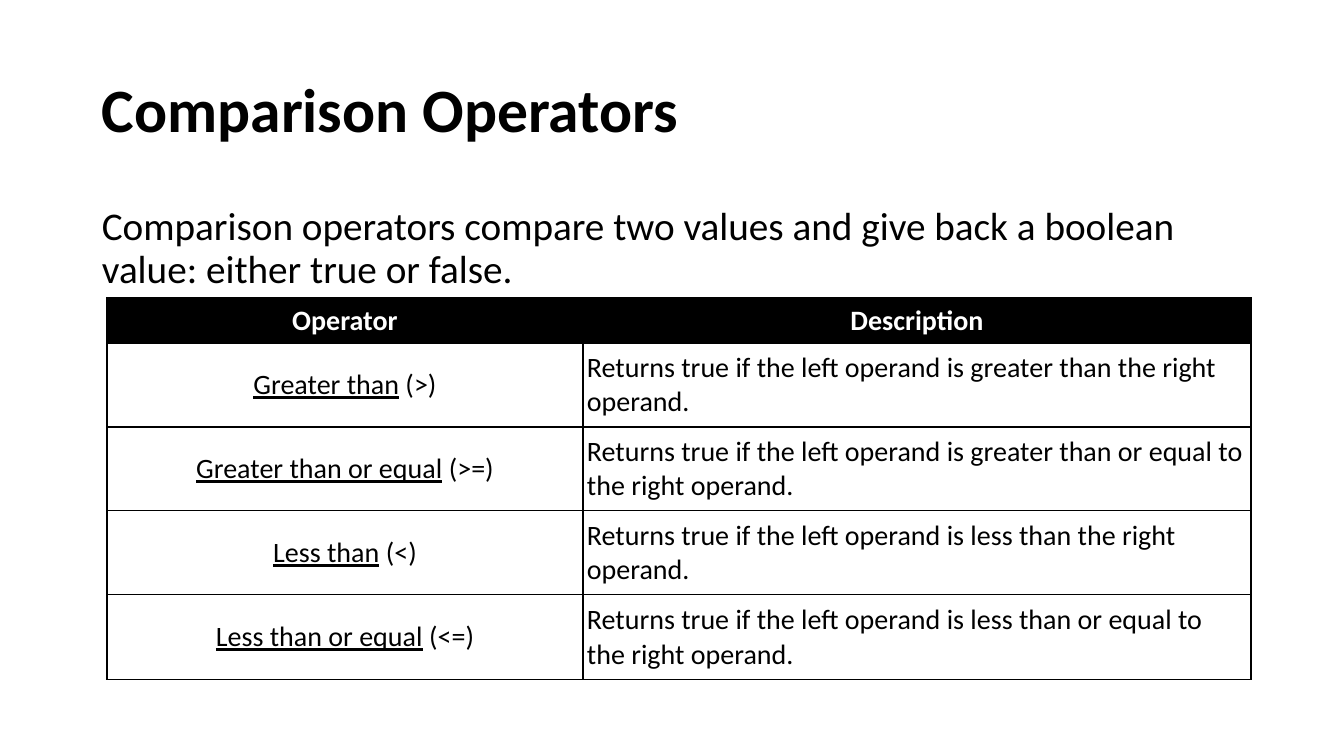
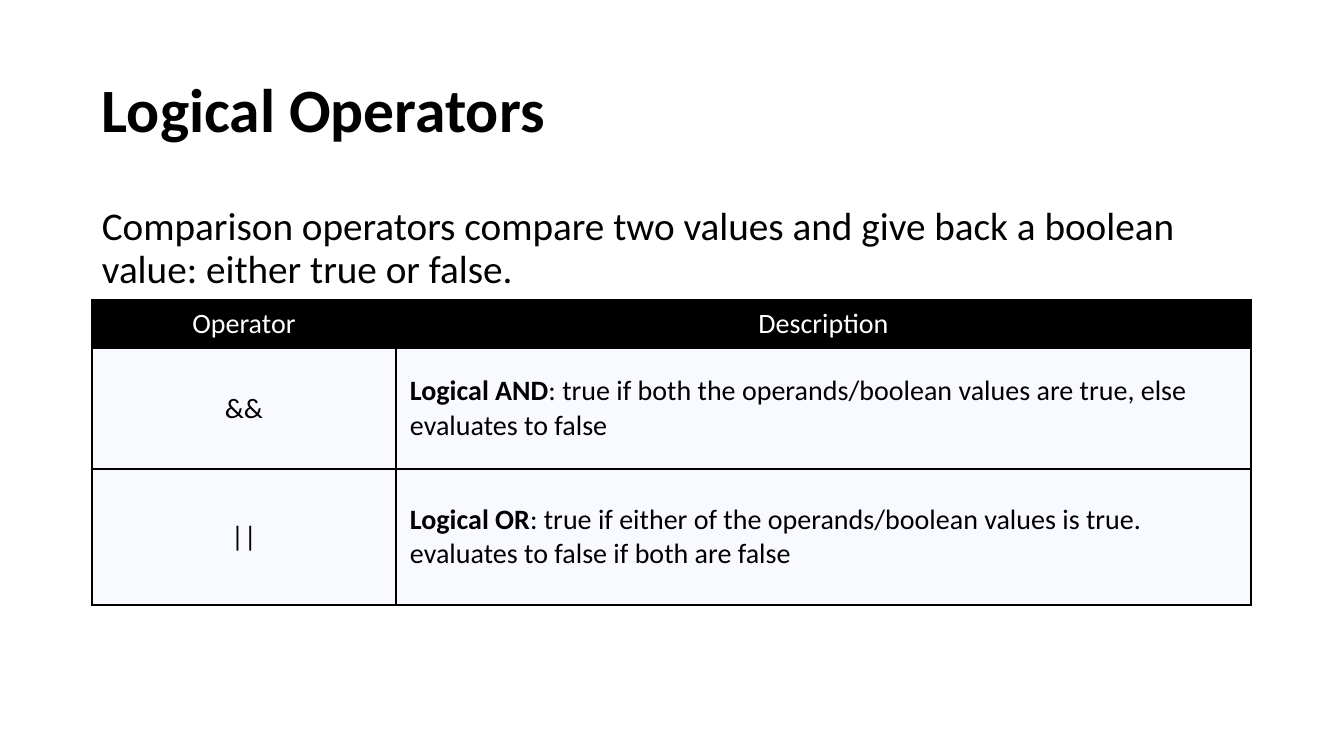
from dataclasses import dataclass

from lxml import etree
from pptx import Presentation
from pptx.dml.color import RGBColor
from pptx.enum.text import MSO_ANCHOR as Anchor, PP_ALIGN as Align
from pptx.oxml.ns import qn
from pptx.util import Emu, Pt

SLIDE_WIDTH, SLIDE_HEIGHT = 1344, 756
TITLE_BOX = (92, 40, 1159, 146)
BODY_BOX = (92, 202, 1159, 480)
FONT = "Calibri"
BLACK = RGBColor(0x00, 0x00, 0x00)
WHITE = RGBColor(0xFF, 0xFF, 0xFF)
PALE_BLUE = RGBColor(0xF8, 0xFA, 0xFF)
HEADERS = ("Operator", "Description")
INTRO = ("Comparison operators compare two values and give back a boolean "
         "value: either true or false.")
RETURNS = "Returns\u00a0true\u00a0if the left operand is {} the right operand."
COMPARISONS = (
    ("Greater than", ">", "greater than"),
    ("Greater than or equal", ">=", "greater than or equal to"),
    ("Less than", "<", "less than"),
    ("Less than or equal", "<=", "less than or equal to"),
)
LOGIC_ROWS = (
    (("", "&&"),
     ("Logical AND", ": true if both the operands/boolean values are true, "
                     "else evaluates to false")),
    (("", "||"),
     ("Logical OR", ": true if either of the operands/boolean values is true. "
                    "evaluates to false if both are false")),
)


@dataclass
class TableStyle:
    """Look of one operator table."""
    fill: RGBColor
    insets: tuple
    bold_header: bool
    emphasis: str


def px(pixels):
    """Turn picture pixels into EMU."""
    return Emu(round(pixels * 914400 / 100.8))


def format_run(run, size, color=BLACK, bold=False, underline=False):
    """Set the font of a run."""
    font = run.font
    font.name, font.size, font.bold = FONT, Pt(size), bold
    font.underline = underline
    font.color.rgb = color


def add_text(slide, box, text, size, bold=False, anchor=Anchor.TOP, before=0):
    """Add one wrapped paragraph in the given box."""
    frame = slide.shapes.add_textbox(*map(px, box)).text_frame
    frame.word_wrap = True
    frame.vertical_anchor = anchor
    frame.text = text
    paragraph = frame.paragraphs[0]
    paragraph.line_spacing = 0.9
    paragraph.space_before = Pt(before)
    format_run(paragraph.runs[0], size, bold=bold)


def add_borders(cell):
    """Draw a thin black line on every side of a cell."""
    properties = cell._tc.get_or_add_tcPr()
    for index, side in enumerate(("lnL", "lnR", "lnT", "lnB")):
        line = etree.Element(qn(f"a:{side}"), w=str(Pt(1)))
        fill = etree.SubElement(line, qn("a:solidFill"))
        etree.SubElement(fill, qn("a:srgbClr"), val=str(BLACK))
        properties.insert(index, line)


def prepare_cell(cell, fill, insets, align):
    """Style a cell and return its paragraph."""
    cell.fill.solid()
    cell.fill.fore_color.rgb = fill
    cell.vertical_anchor = Anchor.MIDDLE
    cell.margin_left = cell.margin_right = px(insets[0])
    cell.margin_top = cell.margin_bottom = px(insets[1])
    add_borders(cell)
    paragraph = cell.text_frame.paragraphs[0]
    paragraph.alignment = align
    return paragraph


def add_operator_table(slide, origin, widths, heights, rows, style):
    """Add a black header row and rows of (emphasised, plain) cells."""
    size = (sum(widths), sum(heights))
    table = slide.shapes.add_table(
        len(heights), len(widths), *map(px, origin + size)).table
    for column, width in zip(table.columns, widths):
        column.width = px(width)
    for row, height in zip(table.rows, heights):
        row.height = px(height)
    for column, header in enumerate(HEADERS):
        paragraph = prepare_cell(
            table.cell(0, column), BLACK, style.insets, Align.CENTER)
        paragraph.text = header
        format_run(paragraph.runs[0], 20, WHITE, bold=style.bold_header)
    for row, cells in enumerate(rows, start=1):
        for column, (marked, plain) in enumerate(cells):
            align = Align.LEFT if column else Align.CENTER
            paragraph = prepare_cell(
                table.cell(row, column), style.fill, style.insets, align)
            for text, extra in ((marked, {style.emphasis: True}), (plain, {})):
                if text:
                    run = paragraph.add_run()
                    run.text = text
                    format_run(run, 20, **extra)


def add_operator_slide(presentation, title, *table_parts):
    """Add a slide with title, introduction and operator table."""
    slide = presentation.slides.add_slide(presentation.slide_layouts[6])
    add_text(slide, TITLE_BOX, title, 44, bold=True, anchor=Anchor.MIDDLE)
    add_text(slide, BODY_BOX, INTRO, 28, before=10)
    add_operator_table(slide, *table_parts)


def main():
    """Build and save the presentation."""
    presentation = Presentation()
    presentation.slide_width = px(SLIDE_WIDTH)
    presentation.slide_height = px(SLIDE_HEIGHT)
    comparison_rows = [
        ((name, f"\u00a0({symbol})"), ("", RETURNS.format(relation)))
        for name, symbol, relation in COMPARISONS]
    add_operator_slide(
        presentation, "Comparison Operators", (107, 298), (476, 668),
        (45, 84, 84, 84, 85), comparison_rows,
        TableStyle(WHITE, (4, 2), True, "underline"))
    add_operator_slide(
        presentation, "Logical Operators", (92, 300), (304, 855),
        (48, 121, 136), LOGIC_ROWS,
        TableStyle(PALE_BLUE, (14, 7), False, "bold"))
    presentation.save("out.pptx")


main()
